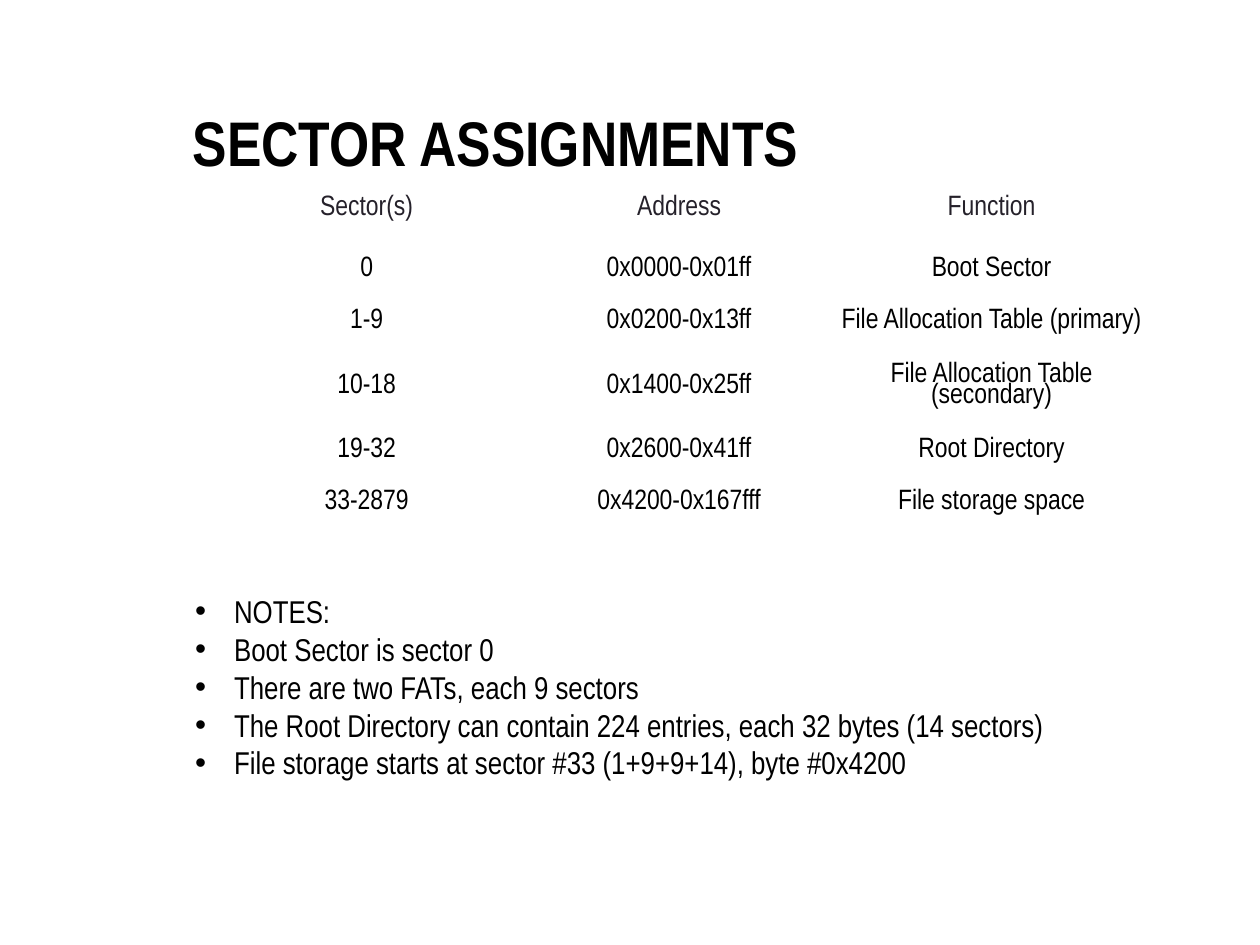
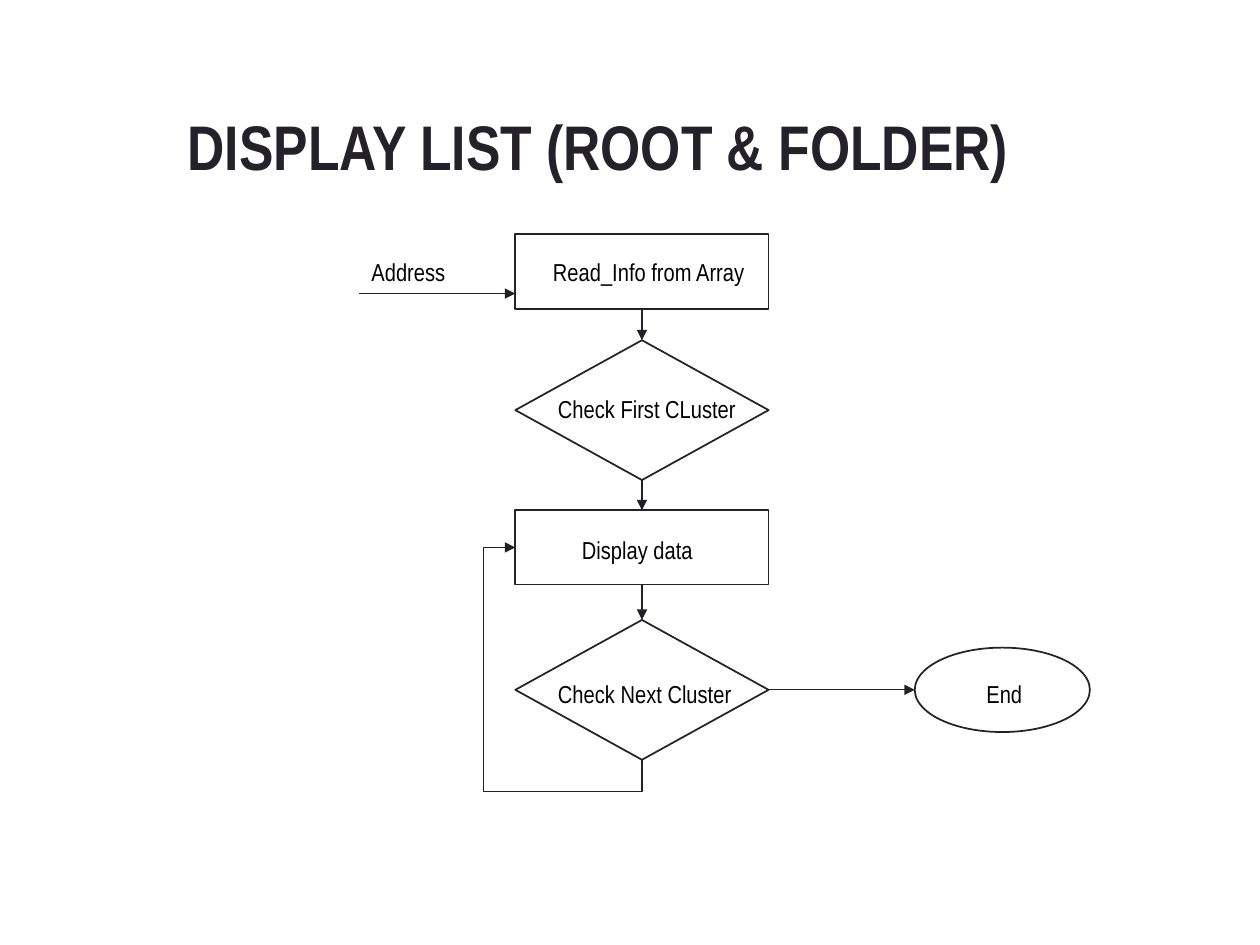
from itertools import pairwise

from lxml import etree
from pptx import Presentation
from pptx.dml.color import RGBColor
from pptx.enum.shapes import MSO_CONNECTOR, MSO_SHAPE
from pptx.enum.text import MSO_ANCHOR, MSO_AUTO_SIZE, PP_ALIGN
from pptx.oxml.ns import qn
from pptx.util import Inches, Pt

RECT, DIAMOND, OVAL = MSO_SHAPE.RECTANGLE, MSO_SHAPE.DIAMOND, MSO_SHAPE.OVAL
STRAIGHT, ELBOW = MSO_CONNECTOR.STRAIGHT, MSO_CONNECTOR.ELBOW
LEFT, CENTER = PP_ALIGN.LEFT, PP_ALIGN.CENTER
TOP, MIDDLE = MSO_ANCHOR.TOP, MSO_ANCHOR.MIDDLE
NO_AUTOFIT = MSO_AUTO_SIZE.NONE

BLACK = RGBColor(0x00, 0x00, 0x00)
INK = RGBColor(0x25, 0x21, 0x2A)
ARROW = RGBColor(0x24, 0x20, 0x29)
FONT = "Arial Narrow"
TITLE_SIZE, BODY_SIZE, CELL_SIZE, LABEL_SIZE = 36, 18, 16, 14

GRID_COLS, GRID_ROWS = 100, 75

SECTORS = [
    ("Sector(s)", "Address", "Function"),
    ("0", "0x0000-0x01ff", "Boot Sector"),
    ("1-9", "0x0200-0x13ff", "File Allocation Table (primary)"),
    ("10-18", "0x1400-0x25ff", "File Allocation Table (secondary)"),
    ("19-32", "0x2600-0x41ff", "Root Directory"),
    ("33-2879", "0x4200-0x167fff", "File storage space"),
]
NOTES = [
    "NOTES:",
    "Boot Sector is sector 0",
    "There are two FATs, each 9 sectors",
    "The Root Directory can contain 224 entries, each 32 bytes (14 sectors)",
    "File storage starts at sector #33 (1+9+9+14), byte #0x4200",
]


class Deck:
    """Holds the style and the current slide; lengths are grid columns and rows."""

    def __init__(self):
        self.prs = Presentation()
        self.prs.slide_width, self.prs.slide_height = Inches(10), Inches(7.5)
        self.col = self.prs.slide_width / GRID_COLS
        self.row = self.prs.slide_height / GRID_ROWS

    def place(self, *lengths):
        """Turn alternating column and row counts into EMU."""
        return [round(n * (self.row if i % 2 else self.col)) for i, n in enumerate(lengths)]

    def style(self, tf, size, color=BLACK, bold=False, align=LEFT):
        for p in tf.paragraphs:
            p.alignment = align
            for r in p.runs:
                r.font.name, r.font.size, r.font.bold = FONT, Pt(size), bold
                r.font.color.rgb = color

    def new_slide(self, title, box, color, align):
        self.slide = self.prs.slides.add_slide(self.prs.slide_layouts[5])
        sp = self.slide.shapes.title
        sp.left, sp.top, sp.width, sp.height = self.place(*box)
        tf = sp.text_frame
        tf.text = title
        tf.auto_size, tf.vertical_anchor = NO_AUTOFIT, TOP
        self.style(tf, TITLE_SIZE, color, True, align)

    def text(self, content, box, size):
        tf = self.slide.shapes.add_textbox(*self.place(*box)).text_frame
        tf.word_wrap = True
        tf.text = content
        self.style(tf, size)
        return tf

    def bullets(self, items, box):
        tf = self.text("\n".join(items), box, BODY_SIZE)
        indent = Inches(0.31)
        for p in tf.paragraphs:
            pPr = p._p.get_or_add_pPr()
            pPr.set("marL", str(indent))
            pPr.set("indent", str(-indent))
            etree.SubElement(pPr, qn("a:buFont")).set("typeface", "Arial")
            etree.SubElement(pPr, qn("a:buChar")).set("char", "•")

    def table(self, data, box, row_heights):
        frame = self.slide.shapes.add_table(len(data), len(data[0]), *self.place(*box))
        table = frame.table
        table.first_row = table.horz_banding = False
        for i, values in enumerate(data):
            table.rows[i].height = round(row_heights[i] * self.row)
            for j, value in enumerate(values):
                cell = table.cell(i, j)
                cell.text = value
                cell.fill.background()
                if i:
                    cell.vertical_anchor = MIDDLE
                    cell.margin_left = cell.margin_right = Inches(0.04)
                    cell.margin_top = cell.margin_bottom = Inches(0.04)
                self.style(cell.text_frame, CELL_SIZE, BLACK if i else INK, align=CENTER)
                cell.text_frame.paragraphs[0].line_spacing = 0.8

    def node(self, kind, box):
        sp = self.slide.shapes.add_shape(kind, *self.place(*box))
        sp.shadow.inherit = False
        sp.fill.background()
        sp.line.color.rgb, sp.line.width = INK, Pt(1)

    def arrow(self, start, end, kind=STRAIGHT):
        cn = self.slide.shapes.add_connector(kind, *self.place(*start, *end))
        cn.line.color.rgb, cn.line.width = ARROW, Pt(0.75)
        spPr = cn.element.spPr
        etree.SubElement(spPr.find(qn("a:ln")), qn("a:tailEnd")).set("type", "triangle")
        etree.SubElement(spPr, qn("a:effectLst"))
        return cn

    def loop_arrow(self, start, end, drop, reach):
        """Go down from start, left past end, up, and right into end."""
        (x1, y1), (x2, y2) = start, end
        rise, run = y1 - y2, x1 - x2
        mid_x, mid_y = (x1 + x2) / 2, (y1 + y2) / 2
        # The outline is laid out sideways, then turned a quarter about its centre.
        cn = self.arrow((mid_x + rise / 2, mid_y - run / 2),
                        (mid_x - rise / 2, mid_y + run / 2), ELBOW)
        spPr = cn.element.spPr
        spPr.find(qn("a:xfrm")).set("rot", str(90 * 60000))
        geom = spPr.find(qn("a:prstGeom"))
        geom.set("prst", "bentConnector4")
        guides = geom.find(qn("a:avLst"))
        if guides is None:
            guides = etree.SubElement(geom, qn("a:avLst"))
        for name, share in (("adj1", -drop / rise), ("adj2", 1 + reach / run)):
            gd = etree.SubElement(guides, qn("a:gd"))
            gd.set("name", name)
            gd.set("fmla", f"val {round(share * 100000)}")


def sector_slide(deck):
    deck.new_slide("SECTOR ASSIGNMENTS", (0, 7.7, 78.7, 7.1), BLACK, CENTER)
    deck.bullets(NOTES, (14.5, 46.5, 78.7, 16.2))
    heights = [4.1, 4.1, 4.1, 6.2, 4.1, 4.1]
    deck.table(SECTORS, (16.7, 15.3, 74.4, sum(heights)), heights)


def flow_slide(deck):
    deck.new_slide("DISPLAY LIST (ROOT & FOLDER)", (13.9, 8, 75, 6.7), INK, LEFT)
    left, width = 40.9, 20.1
    centre, right = left + width / 2, left + width
    box_h, diamond_h, label_h = 5.9, 11.1, 3.4

    steps = [(RECT, 18.6, box_h), (DIAMOND, 27, diamond_h),
             (RECT, 40.5, box_h), (DIAMOND, 49.2, diamond_h)]
    for kind, top, height in steps:
        deck.node(kind, (left, top, width, height))
    for (_, top, height), (_, next_top, _) in pairwise(steps):
        deck.arrow((centre, top + height), (centre, next_top))

    display_top, check_top = steps[2][1], steps[3][1]
    check_mid = check_top + diamond_h / 2
    end_left, end_w, end_h = 72.6, 13.9, 6.7
    deck.node(OVAL, (end_left, check_mid - end_h / 2, end_w, end_h))
    deck.arrow((28.5, 23.3), (left, 23.3))
    deck.arrow((right, check_mid), (end_left, check_mid))
    deck.loop_arrow((centre, check_top + diamond_h),
                    (left, display_top + box_h / 2), drop=2.5, reach=2.5)

    labels = [
        ("Read_Info from Array", 42.9, 19.9, 20.1),
        ("Check First CLuster", 43.3, 30.8, 16.5),
        ("Address", 28.5, 19.9, 14.7),
        ("Check Next Cluster", 43.3, 53.4, 17.2),
        ("Display data", 45.2, 42, 20.1),
        ("End", 77.3, 53.4, 13.9),
    ]
    for label, x, y, w in labels:
        deck.text(label, (x, y, w, label_h), LABEL_SIZE)


def main():
    deck = Deck()
    sector_slide(deck)
    flow_slide(deck)
    deck.prs.save("out.pptx")


if __name__ == "__main__":
    main()
